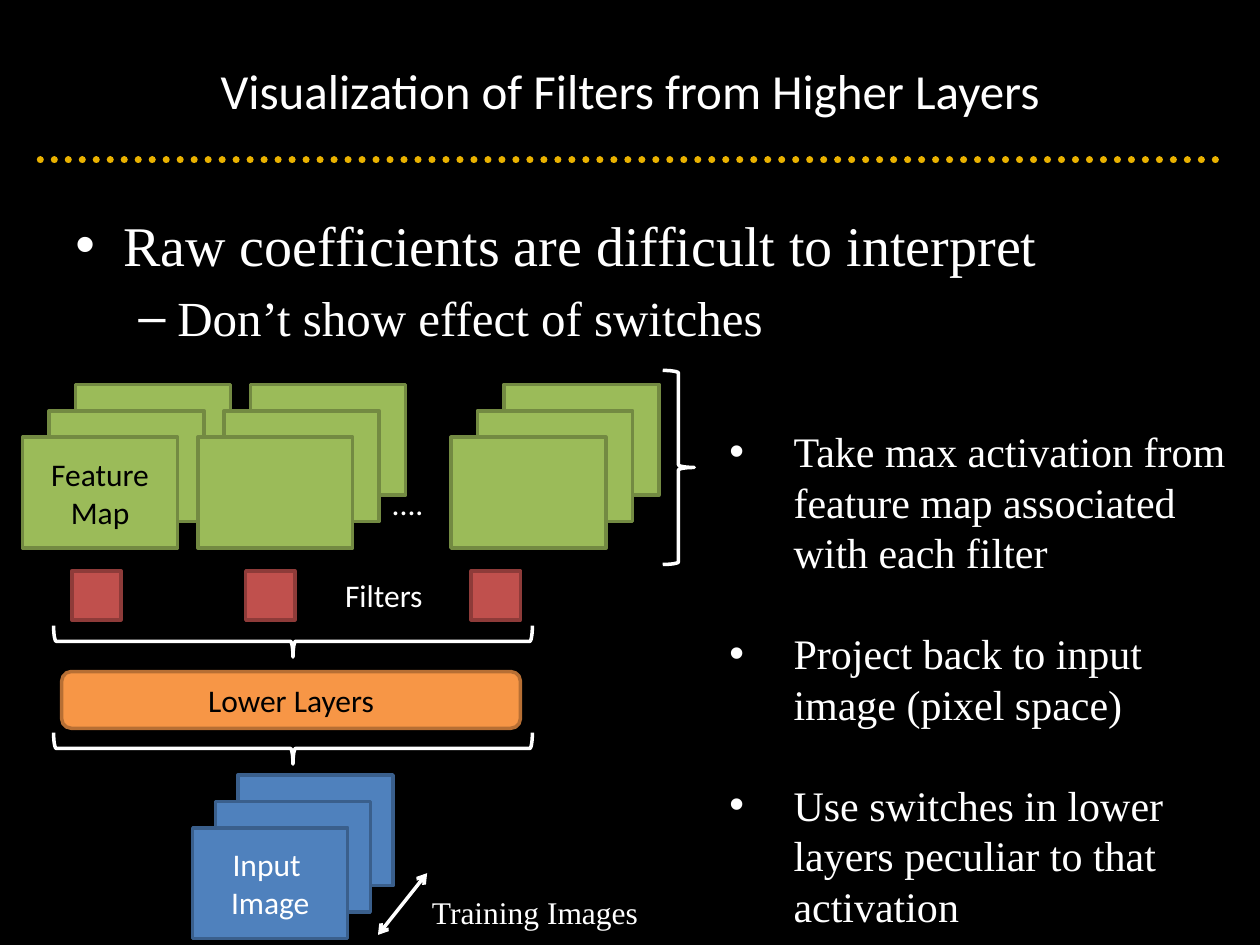
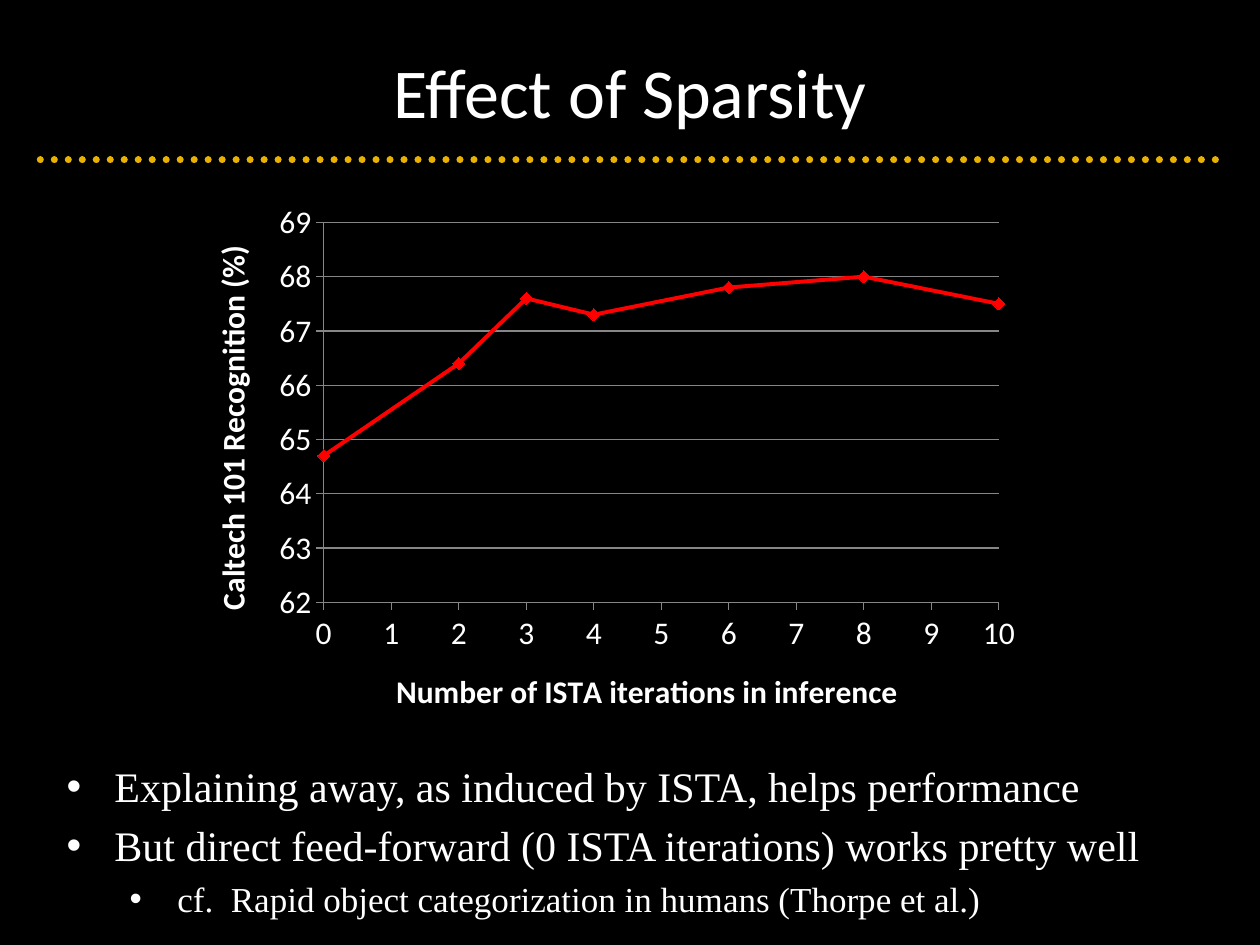
from lxml import etree
from pptx import Presentation
from pptx.chart.data import XyChartData
from pptx.dml.color import RGBColor
from pptx.enum.chart import XL_CHART_TYPE, XL_MARKER_STYLE, XL_TICK_MARK
from pptx.enum.dml import MSO_LINE
from pptx.enum.shapes import MSO_CONNECTOR, MSO_SHAPE
from pptx.enum.text import MSO_ANCHOR, PP_ALIGN
from pptx.oxml.ns import qn
from pptx.util import Inches, Pt

RECT, ROUNDED = MSO_SHAPE.RECTANGLE, MSO_SHAPE.ROUNDED_RECTANGLE
BRACE = MSO_SHAPE.RIGHT_BRACE
STRAIGHT = MSO_CONNECTOR.STRAIGHT
LEFT, CENTER = PP_ALIGN.LEFT, PP_ALIGN.CENTER
TOP, MIDDLE = MSO_ANCHOR.TOP, MSO_ANCHOR.MIDDLE
OUTSIDE = XL_TICK_MARK.OUTSIDE

COLS, ROWS = 100, 75
CELL = Inches(0.1)
SANS, SERIF = "Calibri", "Times New Roman"
COLORS = {
    "black": "000000", "white": "FFFFFF", "rule": "EAB200",
    "map": "9BBB59", "map edge": "738A42",
    "input": "4F81BD", "input edge": "3A5F8C",
    "filter": "C0504D", "filter edge": "8E3B39",
    "layer": "F79646", "layer edge": "B76F34",
    "curve": "FF0000", "grid": "868686",
}
CARD_W, CARD_H = 12.3, 8.8


def rgb(name):
    return RGBColor.from_string(COLORS[name])


def cells(*counts):
    return [round(n * CELL) for n in counts]


def add_run(p, text, size, font=SANS, color="white"):
    r = p.add_run()
    r.text = text
    r.font.size, r.font.name = Pt(size), font
    r.font.color.rgb = rgb(color)


def write_lines(p, text, size, font=SANS, color="white"):
    """Split the text into runs joined by line breaks."""
    for i, line in enumerate(text.split("\n")):
        if i:
            p.add_line_break()
        add_run(p, line, size, font, color)


def add_text(s, text, at, size, font=SANS, align=LEFT, anchor=TOP, wrap=True):
    tf = s.shapes.add_textbox(*cells(*at)).text_frame
    tf.word_wrap, tf.vertical_anchor = wrap, anchor
    p = tf.paragraphs[0]
    p.alignment = align
    add_run(p, text, size, font)


def add_bullets(s, at, items):
    """Each item: text, size, left margin, hang, mark, space before."""
    tf = s.shapes.add_textbox(*cells(*at)).text_frame
    tf.word_wrap = True
    for i, (text, size, margin, hang, mark, before) in enumerate(items):
        p = tf.add_paragraph() if i else tf.paragraphs[0]
        pPr = p._p.get_or_add_pPr()
        pPr.set("marL", str(cells(margin)[0]))
        pPr.set("indent", str(-cells(hang)[0]))
        etree.SubElement(pPr, qn("a:buFont")).set("typeface", "Arial")
        etree.SubElement(pPr, qn("a:buChar")).set("char", mark)
        if i:
            p.space_before = Pt(before)
        add_run(p, text, size, SERIF)


def add_block(s, at, fill, text="", color="black", kind=RECT):
    sp = s.shapes.add_shape(kind, *cells(*at))
    sp.shadow.inherit = False
    sp.fill.solid()
    sp.fill.fore_color.rgb = rgb(fill)
    sp.line.color.rgb, sp.line.width = rgb(fill + " edge"), Pt(2)
    if text:
        tf = sp.text_frame
        tf.vertical_anchor = MIDDLE
        tf.paragraphs[0].alignment = CENTER
        write_lines(tf.paragraphs[0], text, 18, color=color)


def add_stack(s, x, y, step, fill, text="", color="black"):
    """Three cards from back to front; the front one starts at x, y."""
    for depth in (2, 1, 0):
        at = (x + depth * step, y - depth * 2.1, CARD_W, CARD_H)
        add_block(s, at, fill, "" if depth else text, color)


def add_brace(s, at, rotation=0):
    sp = s.shapes.add_shape(BRACE, *cells(*at))
    sp.shadow.inherit = False
    sp.rotation = rotation
    sp.fill.background()
    sp.line.color.rgb, sp.line.width = rgb("white"), Pt(2)


def add_line(s, ends, color, width):
    line = s.shapes.add_connector(STRAIGHT, *cells(*ends))
    line.line.color.rgb, line.line.width = rgb(color), Pt(width)
    etree.SubElement(line._element.spPr, qn("a:effectLst"))
    return line


def add_double_arrow(s, ends):
    ln = add_line(s, ends, "white", 2)._element.spPr.find(qn("a:ln"))
    for tag in ("a:headEnd", "a:tailEnd"):
        etree.SubElement(ln, qn(tag)).set("type", "arrow")


def add_slide(prs, title, size):
    s = prs.slides.add_slide(prs.slide_layouts[6])
    s.background.fill.solid()
    s.background.fill.fore_color.rgb = rgb("black")
    rule = add_line(s, (3.2, 12.7, 97.5, 12.7), "rule", 4)
    rule.line.dash_style = MSO_LINE.ROUND_DOT
    rule._element.spPr.find(qn("a:ln")).set("cap", "rnd")
    add_text(s, title, (5, 0.9, 90, 12.5), size, align=CENTER, anchor=MIDDLE)
    return s


def style_axis(axis, title, low, high):
    axis.minimum_scale, axis.maximum_scale, axis.major_unit = low, high, 1
    axis.major_tick_mark = OUTSIDE
    axis.has_major_gridlines = False
    axis.format.line.color.rgb = rgb("grid")
    axis.tick_labels.number_format = "0"
    axis.tick_labels.number_format_is_linked = False
    axis.tick_labels.font.size = Pt(18)
    axis.tick_labels.font.color.rgb = rgb("white")
    p = axis.axis_title.text_frame.paragraphs[0]
    add_run(p, title, 18)
    p.runs[0].font.bold = True


def place_plot(chart, **shares):
    """Fix the inner plot area by its shares of the chart frame."""
    area = next(chart.element.iter(qn("c:plotArea")))
    for old in area.findall(qn("c:layout")):
        area.remove(old)
    layout = etree.Element(qn("c:layout"))
    area.insert(0, layout)
    manual = etree.SubElement(layout, qn("c:manualLayout"))
    settings = {"layoutTarget": "inner", "xMode": "edge", "yMode": "edge"}
    for tag, value in {**settings, **shares}.items():
        etree.SubElement(manual, qn("c:" + tag)).set("val", str(value))


def add_accuracy_chart(s, at, points):
    data = XyChartData()
    series = data.add_series("Series 1")
    for x, y in points:
        series.add_data_point(x, y)
    chart = s.shapes.add_chart(
        XL_CHART_TYPE.XY_SCATTER_LINES, *cells(*at), data).chart
    chart.has_title = chart.has_legend = False
    chart.font.name, chart.font.size = SANS, Pt(18)
    chart.font.color.rgb = rgb("white")
    style_axis(chart.category_axis,
               "Number of ISTA iterations in inference", 0, 10)
    style_axis(chart.value_axis, "Caltech 101 Recognition (%)", 62, 69)
    chart.value_axis.has_major_gridlines = True
    chart.value_axis.major_gridlines.format.line.color.rgb = rgb("grid")
    body = chart.value_axis.axis_title.text_frame._txBody
    body.find(qn("a:bodyPr")).set("rot", "-5400000")
    place_plot(chart, x=0.16, y=0.07, w=0.78, h=0.69)
    plot = chart.plots[0]
    plot.vary_by_categories = False
    curve = plot.series[0]
    curve.smooth = False
    curve.format.line.color.rgb, curve.format.line.width = rgb("curve"), Pt(2.25)
    curve.marker.style, curve.marker.size = XL_MARKER_STYLE.DIAMOND, 7
    curve.marker.format.fill.solid()
    curve.marker.format.fill.fore_color.rgb = rgb("curve")
    curve.marker.format.line.color.rgb = rgb("curve")


def build_filters_slide(prs):
    s = add_slide(prs, "Visualization of Filters from Higher Layers", 28)
    add_bullets(s, (5, 16.2, 90, 15.5), [
        ("Raw coefficients are difficult to interpret", 32, 3.8, 3.8, "•", 0),
        ("Don’t show effect of switches", 28, 8.1, 3.1, "–", 5.6),
    ])
    for x, label in ((1.8, "Feature\nMap"), (15.7, ""), (35.8, "")):
        add_stack(s, x, 34.7, 2.1, "map", label)
    for x in (5.7, 19.5, 37.4):
        add_block(s, (x, 45.3, 3.9, 3.9), "filter")
    add_block(s, (4.9, 53.3, 36.4, 4.5), "layer", "Lower Layers", kind=ROUNDED)
    add_stack(s, 15.3, 65.7, 1.8, "input", "Input \nImage", "white")
    add_text(s, "....", (30.1, 37.9, 4.5, 4), 18, wrap=False)
    add_text(s, "Filters", (26.4, 45.2, 8.2, 4), 18, wrap=False)
    for y in (31.9, 40.4):
        add_brace(s, (22, y, 2.5, 38), 90)
    add_brace(s, (52.6, 29.4, 2.5, 15.4))
    add_double_arrow(s, (33.9, 69.3, 30, 74.2))
    add_text(s, "Training Images", (33.3, 70.4, 18.7, 4), 18, SERIF)
    steps = ("Take max activation from feature map associated with each filter",
             "Project back to input image (pixel space)",
             "Use switches in lower layers peculiar to that activation")
    add_bullets(s, (56.9, 33.3, 42, 41.4),
                [(step, 24, 5.1, 5.1, "•", 29) for step in steps])


def build_sparsity_slide(prs):
    s = add_slide(prs, "Effect of Sparsity", 40)
    add_accuracy_chart(s, (14.7, 14.6, 68.7, 43.7), [
        (0, 64.7), (2, 66.4), (3, 67.6), (4, 67.3),
        (6, 67.8), (8, 68), (10, 67.5)])
    add_bullets(s, (4.3, 59.9, 91.2, 16), [
        ("Explaining away, as induced by ISTA, helps performance",
         24, 3.8, 3.8, "•", 0),
        ("But direct feed-forward (0 ISTA iterations) works pretty well",
         24, 3.8, 3.8, "•", 4.8),
        ("cf.  Rapid object categorization in humans (Thorpe et al.)",
         20, 8.8, 3.8, "•", 4),
    ])


def main():
    prs = Presentation()
    prs.slide_width, prs.slide_height = cells(COLS, ROWS)
    build_filters_slide(prs)
    build_sparsity_slide(prs)
    prs.save("out.pptx")


if __name__ == "__main__":
    main()
